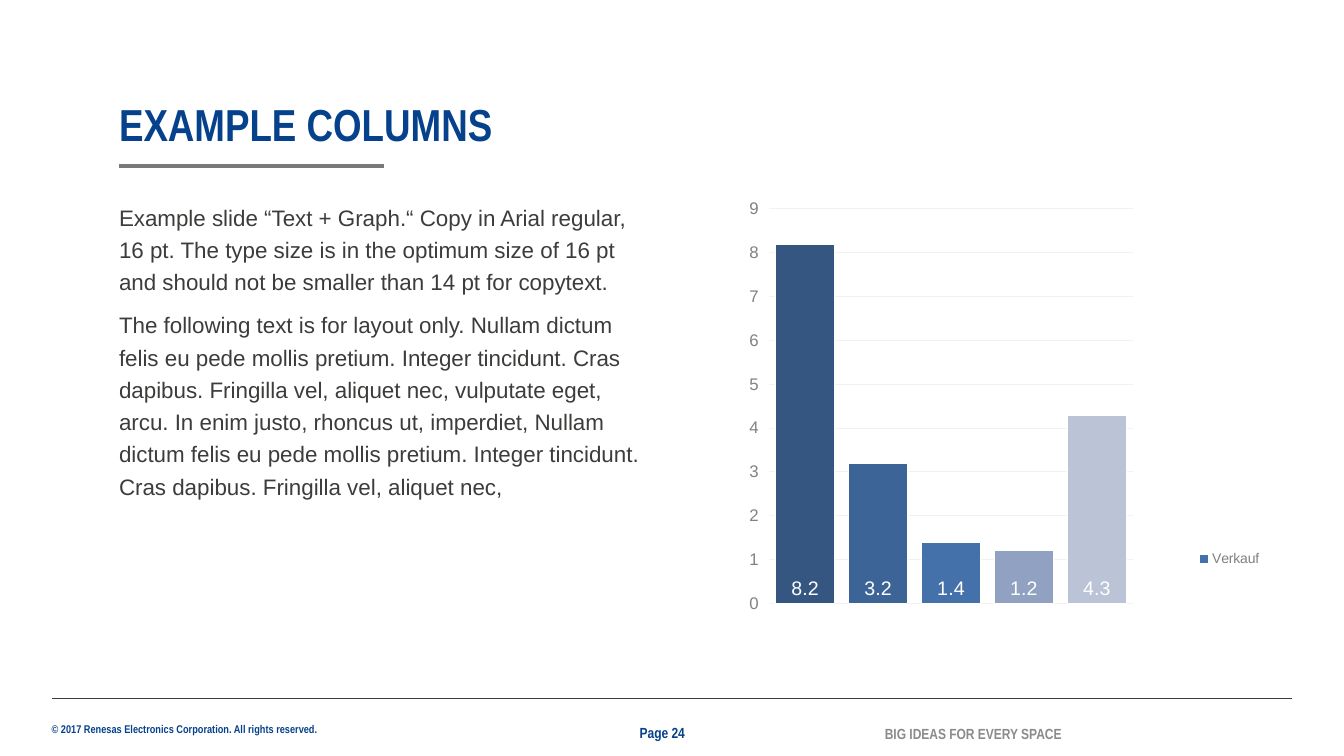
from pptx import Presentation
from pptx.chart.data import CategoryChartData
from pptx.dml.color import RGBColor
from pptx.enum.chart import XL_CHART_TYPE, XL_LABEL_POSITION, XL_LEGEND_POSITION
from pptx.enum.shapes import MSO_CONNECTOR
from pptx.enum.text import MSO_ANCHOR
from pptx.oxml import parse_xml
from pptx.oxml.ns import nsdecls
from pptx.util import Cm, Pt
from lxml import etree

COLUMN_STACKED = XL_CHART_TYPE.COLUMN_STACKED
INSIDE_BASE = XL_LABEL_POSITION.INSIDE_BASE
LEGEND_RIGHT = XL_LEGEND_POSITION.RIGHT
STRAIGHT = MSO_CONNECTOR.STRAIGHT
TOP, MIDDLE, BOTTOM = MSO_ANCHOR.TOP, MSO_ANCHOR.MIDDLE, MSO_ANCHOR.BOTTOM

BLUE, DARK, GREY, WHITE = "06418C", "3C3C3B", "81817F", "FFFFFF"
BODY_FONT, HEAD_FONT = "Arial", "Arial Narrow"
LEFT = 3

BODY = [
    "Example slide “Text + Graph.“ Copy in Arial regular, 16 pt. The type size "
    "is in the optimum size of 16 pt and should not be smaller than 14 pt for "
    "copytext.",
    "The following text is for layout only. Nullam dictum felis eu pede mollis "
    "pretium. Integer tincidunt. Cras dapibus. Fringilla vel, aliquet nec, "
    "vulputate eget, arcu. In enim justo, rhoncus ut, imperdiet, Nullam dictum "
    "felis eu pede mollis pretium. Integer tincidunt. Cras dapibus. Fringilla "
    "vel, aliquet nec,",
]
SALES = [8.2, 3.2, 1.4, 1.2, 4.3]
COLUMN_COLORS = ["345680", "3C6496", "4471A9", "90A1C1", "BAC4D6"]


def rgb(value):
    return RGBColor.from_string(value)


def set_font(font, size, color, name=BODY_FONT, bold=False):
    font.size, font.name, font.bold = Pt(size), name, bold
    font.color.rgb = rgb(color)


def fill_text(sp, paragraphs, size, color, name, bold=False, anchor=TOP,
              spacing=None, after=0, wrap=True):
    tf = sp.text_frame
    tf.margin_left = tf.margin_top = tf.margin_right = tf.margin_bottom = 0
    tf.word_wrap, tf.vertical_anchor = wrap, anchor
    for i, text in enumerate(paragraphs):
        p = tf.paragraphs[0] if i == 0 else tf.add_paragraph()
        p.text = text
        p.space_before, p.space_after = Pt(0), Pt(after)
        p.line_spacing = spacing
        set_font(p.font, size, color, name, bold)


def add_title(slide, text, x, y, w, h):
    sp = slide.shapes.title
    sp.left, sp.top, sp.width, sp.height = Cm(x), Cm(y), Cm(w), Cm(h)
    fill_text(sp, [text], 32, BLUE, HEAD_FONT, True, BOTTOM, 0.9)
    # Left-align against the centred layout
    sp.text_frame.paragraphs[0].alignment = 1


def add_text(slide, paragraphs, x, y, w, h, *style, **options):
    sp = slide.shapes.add_textbox(Cm(x), Cm(y), Cm(w), Cm(h))
    fill_text(sp, paragraphs, *style, **options)


def add_rule(slide, x1, x2, y, color, width):
    line = slide.shapes.add_connector(STRAIGHT, Cm(x1), Cm(y), Cm(x2), Cm(y))
    line.line.color.rgb = rgb(color)
    line.line.width = Pt(width)
    sp_pr = line._element.spPr
    etree.SubElement(sp_pr, sp_pr.tag.replace("}spPr", "}effectLst").replace(
        "presentationml", "drawingml"))


def manual_layout(x, y, w, h, inner=False):
    target = '<c:layoutTarget val="inner"/>' if inner else ""
    sizes = "".join(f'<c:{tag} val="{value}"/>'
                    for tag, value in zip("xywh", (x, y, w, h)))
    return parse_xml(
        f'<c:layout {nsdecls("c")}><c:manualLayout>{target}'
        '<c:xMode val="edge"/><c:yMode val="edge"/>'
        f'{sizes}</c:manualLayout></c:layout>')


def place_parts(chart):
    plot_area = chart._chartSpace.xpath(".//c:plotArea")[0]
    for layout in plot_area.xpath("./c:layout"):
        plot_area.remove(layout)
    plot_area.insert(0, manual_layout(0.094, 0.048, 0.634, 0.842, True))
    legend = chart._chartSpace.xpath(".//c:legend")[0]
    for layout in legend.xpath("./c:layout"):
        legend.remove(layout)
    legend.insert(1, manual_layout(0.82, 0.76, 0.15, 0.07))


def paint_column(fmt, color):
    fmt.fill.solid()
    fmt.fill.fore_color.rgb = rgb(color)
    fmt.line.color.rgb = rgb(WHITE)
    fmt.line.width = Pt(0.75)


def add_sales_chart(slide, x, y, w, h):
    data = CategoryChartData()
    data.categories = [str(i + 1) for i in range(len(SALES))]
    data.add_series("Verkauf", SALES)
    chart = slide.shapes.add_chart(
        COLUMN_STACKED, Cm(x), Cm(y), Cm(w), Cm(h), data).chart
    chart.has_title = False
    set_font(chart.font, 10, DARK)

    # Columns and their labels
    plot = chart.plots[0]
    plot.gap_width, plot.overlap, plot.vary_by_categories = 24, 100, False
    series = plot.series[0]
    paint_column(series.format, COLUMN_COLORS[2])
    for i, color in enumerate(COLUMN_COLORS):
        paint_column(series.points[i].format, color)
    labels = series.data_labels
    labels.show_value, labels.position = True, INSIDE_BASE
    set_font(labels.font, 14, WHITE)

    # Axes
    chart.category_axis.visible = False
    axis = chart.value_axis
    axis.minimum_scale, axis.maximum_scale, axis.major_unit = 0, 9, 1
    axis.format.line.fill.background()
    set_font(axis.tick_labels.font, 12, GREY)
    grid = axis.major_gridlines.format.line
    grid.color.rgb, grid.width = rgb("F2F2F2"), Pt(0.75)

    # Legend
    chart.has_legend = True
    chart.legend.position = LEGEND_RIGHT
    chart.legend.include_in_layout = False
    set_font(chart.legend.font, 10, GREY)
    place_parts(chart)


def main():
    prs = Presentation()
    prs.slide_width, prs.slide_height = Cm(33.87), Cm(19.05)
    slide = prs.slides.add_slide(prs.slide_layouts[5])

    # Heading
    add_title(slide, "EXAMPLE COLUMNS", LEFT, 2.59, 24.99, 1.22)
    add_rule(slide, LEFT, 9.68, 4.19, "797979", 3)

    # Content
    add_text(slide, BODY, LEFT, 5, 13.49, 5.23, 16, DARK, BODY_FONT,
             spacing=1.2, after=8)
    add_sales_chart(slide, 18.01, 4.7, 14.5, 11.81)

    # Footer
    add_rule(slide, 1.3, 32.56, 17.6, DARK, 0.5)
    add_text(slide,
             ["© 2017 Renesas Electronics Corporation. All rights reserved."],
             1.3, 18.19, 6.81, 0.33, 8, BLUE, HEAD_FONT, True, wrap=False)
    add_text(slide, ["Page 24"], 16.12, 18.24, 1.85, 0.46,
             10.5, BLUE, HEAD_FONT, True, MIDDLE)
    add_text(slide, ["BIG IDEAS FOR EVERY SPACE"], 22.3, 18.26, 4.57, 0.46,
             10.5, "8B8B89", HEAD_FONT, True, MIDDLE)

    prs.save("out.pptx")


if __name__ == "__main__":
    main()
